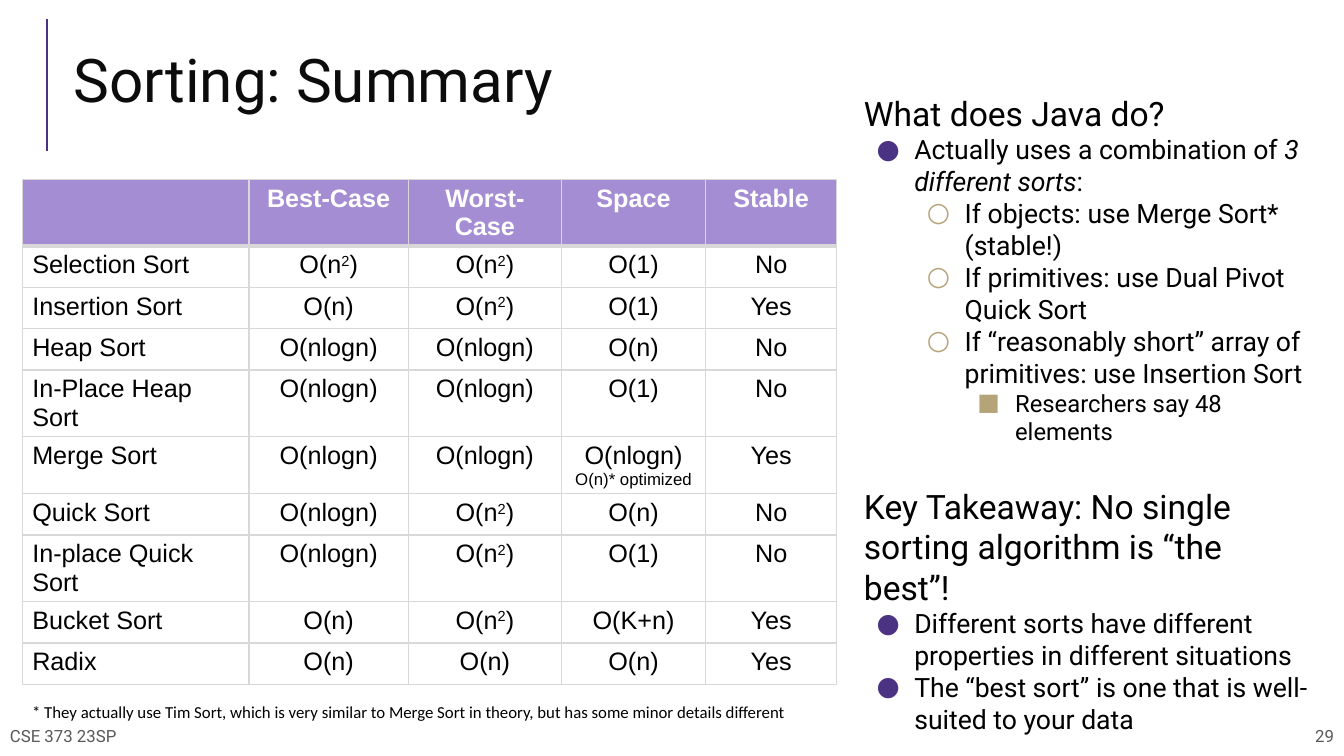
from dataclasses import dataclass
from typing import Any, NamedTuple, Optional

import lxml.etree
import pptx
import pptx.dml.color
import pptx.enum.shapes
import pptx.enum.text
import pptx.oxml.ns
import pptx.util

ALIGN = pptx.enum.text.PP_ALIGN
ANCHOR = pptx.enum.text.MSO_ANCHOR


@dataclass(frozen=True)
class Theme:
    heading_font: str = "Roboto"
    table_font: str = "Arial"
    note_font: str = "Calibri"
    purple: str = "4C3282"
    lavender: str = "A48DD3"
    gold: str = "B6A479"
    border: str = "D8D8D8"
    white: str = "FFFFFF"
    black: str = "000000"
    title_ink: str = "0C0C0C"
    footer_ink: str = "595959"
    title_size: int = 43
    heading_size: int = 24
    point_size: int = 19
    detail_size: int = 17
    cell_size: int = 18
    small_size: int = 12


@dataclass(frozen=True)
class Grid:
    width: int = pptx.util.Inches(13.33)
    height: int = pptx.util.Inches(7.5)
    divisions: int = 100

    def columns(self, count: float) -> int:
        return round(self.width * count / self.divisions)

    def rows(self, count: float) -> int:
        return round(self.height * count / self.divisions)


class Area(NamedTuple):
    left: float
    top: float
    width: float
    height: float


class Style(NamedTuple):
    font: str
    size: int
    color: str
    bold: bool = False


class Label(NamedTuple):
    text: str
    area: Area
    style: Style
    padding: float
    align: Any = ALIGN.LEFT
    anchor: Any = ANCHOR.TOP


class Bullet(NamedTuple):
    character: str
    color: str
    size: int


class Point(NamedTuple):
    text: str
    depth: int = 0
    space_before: int = 0


THEME = Theme()
GRID = Grid()
FOOTER_STYLE = Style(THEME.heading_font, THEME.small_size, THEME.footer_ink)
LABELS = [
    Label("CSE 373 23SP", Area(0, 94.67, 35.1, 5.33), FOOTER_STYLE, 0.1, anchor=ANCHOR.MIDDLE),
    Label("29", Area(64.9, 94.67, 35.1, 5.33), FOOTER_STYLE, 0.1, ALIGN.RIGHT, ANCHOR.MIDDLE),
    Label("* They actually use Tim Sort, which is very similar to Merge Sort in theory, "
          "but has some minor details different", Area(1.65, 92.13, 58.2, 4),
          Style(THEME.note_font, THEME.small_size, THEME.black), 0.05),
]
BULLETS = {
    1: Bullet("●", THEME.purple, THEME.point_size),
    2: Bullet("○", THEME.gold, THEME.point_size),
    3: Bullet("■", THEME.gold, THEME.detail_size),
}
INDENT_COLUMNS = 3.75
HANGING_COLUMNS = 2.81
POINTS = [
    Point("What does Java do?"),
    Point("Actually uses a combination of _3 different sorts_:", 1),
    Point("If objects: use Merge Sort* (stable!)", 2),
    Point("If primitives: use Dual Pivot Quick Sort", 2),
    Point("If “reasonably short” array of primitives: use Insertion Sort", 2),
    Point("Researchers say 48 elements", 3),
    Point("Key Takeaway: No single sorting algorithm is “the best”!", space_before=29),
    Point("Different sorts have different properties in different situations", 1),
    Point("The “best sort” is one that is well-suited to your data", 1),
]
TABLE_COLUMNS = [16.88, 11.85, 11.4, 10.73, 9.75]
TABLE_ROW = 5.47
SORTS = [
    ["", "Best-Case", "Worst-Case", "Space", "Stable"],
    ["Selection Sort", "O(n^2^)", "O(n^2^)", "O(1)", "No"],
    ["Insertion Sort", "O(n)", "O(n^2^)", "O(1)", "Yes"],
    ["Heap Sort", "O(nlogn)", "O(nlogn)", "O(n)", "No"],
    ["In-Place Heap Sort", "O(nlogn)", "O(nlogn)", "O(1)", "No"],
    ["Merge Sort", "O(nlogn)", "O(nlogn)", "O(nlogn)\nO(n)* optimized", "Yes"],
    ["Quick Sort", "O(nlogn)", "O(n^2^)", "O(n)", "No"],
    ["In-place Quick Sort", "O(nlogn)", "O(n^2^)", "O(1)", "No"],
    ["Bucket Sort", "O(n)", "O(n^2^)", "O(K+n)", "Yes"],
    ["Radix", "O(n)", "O(n)", "O(n)", "Yes"],
]


def rgb(color: str) -> pptx.dml.color.RGBColor:
    return pptx.dml.color.RGBColor.from_string(color)


def add_element(parent: Any, tag: str, **attributes: str) -> Any:
    return lxml.etree.SubElement(parent, pptx.oxml.ns.qn(tag), attributes)


def write(paragraph: Any, text: str, style: Style, mark: Optional[str] = None) -> None:
    for index, part in enumerate(text.split(mark) if mark else [text]):
        if not part:
            continue
        run = paragraph.add_run()
        run.text = part
        run.font.name = style.font
        run.font.size = pptx.util.Pt(style.size)
        run.font.bold = style.bold
        run.font.color.rgb = rgb(style.color)
        if index % 2 and mark == "_":
            run.font.italic = True
        elif index % 2:
            run._r.get_or_add_rPr().set("baseline", "30000")


def place(shape: Any, area: Area) -> None:
    shape.left, shape.width = GRID.columns(area.left), GRID.columns(area.width)
    shape.top, shape.height = GRID.rows(area.top), GRID.rows(area.height)


def set_frame(frame: Any, anchor: Any, padding: float = 0.05) -> None:
    frame.word_wrap = True
    frame.auto_size = pptx.enum.text.MSO_AUTO_SIZE.NONE
    frame.vertical_anchor = anchor
    frame.margin_left = frame.margin_right = pptx.util.Inches(0.1)
    frame.margin_top = frame.margin_bottom = pptx.util.Inches(padding)


def draw_rule(slide: Any) -> None:
    rule = slide.shapes.add_connector(
        pptx.enum.shapes.MSO_CONNECTOR.STRAIGHT,
        GRID.columns(3.53), GRID.rows(20), GRID.columns(3.53), GRID.rows(2.53))
    rule.line.color.rgb = rgb(THEME.purple)
    rule.line.width = pptx.util.Pt(1.5)
    add_element(rule._element.spPr, "a:effectLst")


def draw_label(slide: Any, label: Label) -> None:
    box = slide.shapes.add_textbox(0, 0, 0, 0)
    place(box, label.area)
    set_frame(box.text_frame, label.anchor, label.padding)
    paragraph = box.text_frame.paragraphs[0]
    paragraph.alignment = label.align
    write(paragraph, label.text, label.style)


def draw_title(title: Any) -> None:
    place(title, Area(4.73, 3.87, 91.73, 14.8))
    set_frame(title.text_frame, ANCHOR.MIDDLE)
    paragraph = title.text_frame.paragraphs[0]
    paragraph.alignment = ALIGN.LEFT
    paragraph.line_spacing = 0.8
    write(paragraph, "Sorting: Summary",
          Style(THEME.heading_font, THEME.title_size, THEME.title_ink))


def draw_points(body: Any) -> None:
    place(body, Area(63.53, 11.6, 34.88, 90.67))
    frame = body.text_frame
    set_frame(frame, ANCHOR.TOP)
    for index, point in enumerate(POINTS):
        paragraph = frame.add_paragraph() if index else frame.paragraphs[0]
        paragraph.level = max(point.depth - 1, 0)
        paragraph.space_before = pptx.util.Pt(point.space_before)
        bullet = BULLETS.get(point.depth)
        properties = paragraph._p.get_or_add_pPr()
        properties.set("marL", str(GRID.columns(INDENT_COLUMNS * point.depth)))
        properties.set("indent", str(-GRID.columns(HANGING_COLUMNS) if bullet else 0))
        if bullet:
            add_element(add_element(properties, "a:buClr"), "a:srgbClr", val=bullet.color)
            add_element(properties, "a:buFont", typeface=THEME.heading_font)
            add_element(properties, "a:buChar", char=bullet.character)
        else:
            add_element(properties, "a:buNone")
        size = bullet.size if bullet else THEME.heading_size
        write(paragraph, point.text, Style(THEME.heading_font, size, THEME.black), "_")


def set_borders(cell: Any, row: int) -> None:
    thick_side = {0: "B", 1: "T"}.get(row)
    properties = cell._tc.get_or_add_tcPr()
    for index, side in enumerate("LRTB"):
        width = pptx.util.Pt(3 if side == thick_side else 1)
        line = add_element(properties, f"a:ln{side}", w=str(width))
        add_element(add_element(line, "a:solidFill"), "a:srgbClr", val=THEME.border)
        properties.insert(index, line)


def draw_table(slide: Any) -> None:
    table = slide.shapes.add_table(
        len(SORTS), len(TABLE_COLUMNS), GRID.columns(1.65), GRID.rows(23.73),
        GRID.columns(sum(TABLE_COLUMNS)), GRID.rows(TABLE_ROW * len(SORTS))).table
    table.horz_banding = False
    for column, width in zip(table.columns, TABLE_COLUMNS):
        column.width = GRID.columns(width)
    for row, texts in enumerate(SORTS):
        header = row == 0
        for column, text in enumerate(texts):
            cell = table.cell(row, column)
            cell.fill.solid()
            cell.fill.fore_color.rgb = rgb(THEME.lavender if header else THEME.white)
            set_borders(cell, row)
            for index, line in enumerate(text.split("\n")):
                frame = cell.text_frame
                paragraph = frame.add_paragraph() if index else frame.paragraphs[0]
                paragraph.alignment = ALIGN.CENTER if column else ALIGN.LEFT
                size = THEME.small_size if index else THEME.cell_size
                color = THEME.white if header else THEME.black
                write(paragraph, line, Style(THEME.table_font, size, color, header), "^")


def main() -> None:
    presentation = pptx.Presentation()
    presentation.slide_width, presentation.slide_height = GRID.width, GRID.height
    slide = presentation.slides.add_slide(presentation.slide_layouts[1])
    draw_rule(slide)
    draw_title(slide.shapes.title)
    draw_table(slide)
    draw_points(slide.placeholders[1])
    for label in LABELS:
        draw_label(slide, label)
    presentation.save("out.pptx")


if __name__ == "__main__":
    main()
